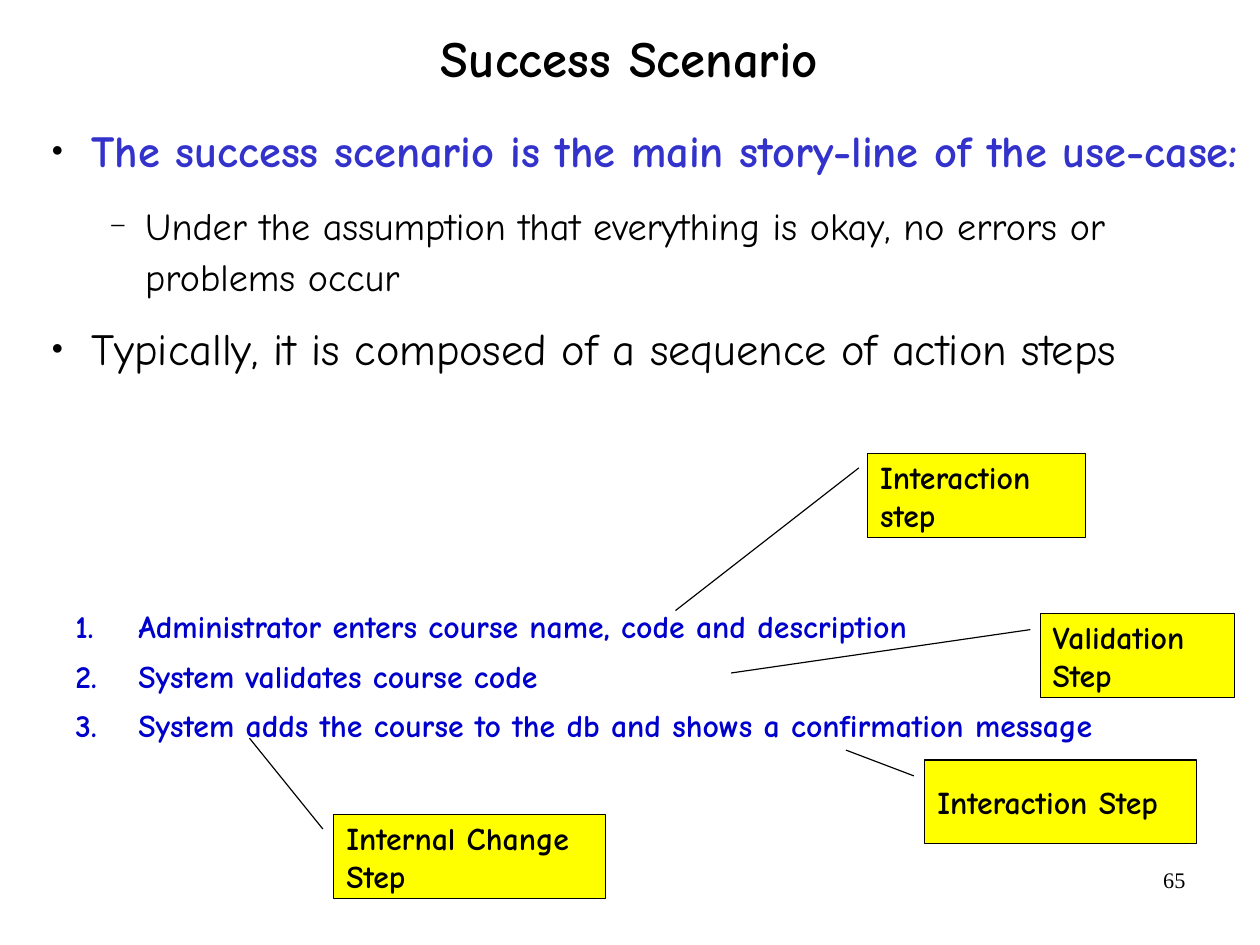
"""Build the slide that explains the success scenario of a use-case."""
from dataclasses import dataclass

from lxml import etree
from pptx import Presentation
from pptx.dml.color import RGBColor
from pptx.enum.shapes import MSO_SHAPE
from pptx.enum.text import MSO_ANCHOR, PP_ALIGN
from pptx.oxml.ns import qn
from pptx.util import Inches, Pt

CALLOUT = MSO_SHAPE.LINE_CALLOUT_1
TOP, MIDDLE = MSO_ANCHOR.TOP, MSO_ANCHOR.MIDDLE
LEFT, CENTER, RIGHT = PP_ALIGN.LEFT, PP_ALIGN.CENTER, PP_ALIGN.RIGHT
COMIC, TIMES = "Comic Neue", "Times New Roman"
BLACK, VIOLET, BLUE, YELLOW = "000000", "3333CC", "0000CC", "FFFF00"
CM_PER_INCH = 2.54
PAGE_WIDTH_CM, PAGE_HEIGHT_CM = 28, 21


@dataclass(frozen=True)
class Style:
    size: float
    color: str = BLACK
    bold: bool = False
    font: str = COMIC
    align: PP_ALIGN = LEFT
    line_spacing: float = 1.0
    space_after: float = 0


@dataclass(frozen=True)
class Bullet:
    margin: float
    hanging: float
    level: int = 0
    char: str = ""
    percent: int = 100


@dataclass(frozen=True)
class Line:
    text: str
    style: Style
    bullet: Bullet | None = None


@dataclass(frozen=True)
class Callout:
    text: str
    bounds: tuple[float, float, float, float]
    pointer: tuple[float, float, float, float]


DOT = Bullet(0.46, 0.35, 0, "●", 45)
DASH = Bullet(0.93, 0.31, 1, "−", 75)
NUMBER = Bullet(1.1, 0.55, 1)

TITLE = Style(32, bold=True, align=CENTER, line_spacing=0.88)
KEY_POINT = Style(28, VIOLET, True, line_spacing=1.1, space_after=13.8)
POINT = Style(28, line_spacing=1.1, space_after=13.8)
DETAIL = Style(24, line_spacing=1.1, space_after=10.9)
STEP = Style(20, BLUE, True, line_spacing=1.3)
LABEL = Style(20, bold=True)
PAGE_NUMBER = Style(14, font=TIMES, align=RIGHT)

POINTS = [
    Line("The success scenario is the main story-line of the use-case:", KEY_POINT, DOT),
    Line("Under the assumption that everything is okay, no errors or problems occur", DETAIL, DASH),
    Line("Typically, it is composed of a sequence of action steps", POINT, DOT),
]
STEPS = [
    Line(text, STEP, NUMBER)
    for text in (
        "Administrator enters course name, code and description",
        "System validates course code",
        "System adds the course to the db and shows a confirmation message",
    )
]
CALLOUTS = [
    Callout("Interaction step", (7.59, 3.97, 1.91, 0.73), (0.17, -0.04, 1.88, -0.88)),
    Callout("Validation Step", (9.1, 5.37, 1.7, 0.73), (0.19, -0.05, 0.71, -1.59)),
    Callout("Internal Change Step", (2.92, 7.13, 2.38, 0.73), (0.17, -0.04, -0.92, -0.31)),
    Callout("Interaction Step", (8.09, 6.65, 2.38, 0.73), (0.19, -0.04, -0.12, -0.29)),
]


def rgb(color: str) -> RGBColor:
    """Turn a hex string into a colour."""
    return RGBColor.from_string(color)


def add_bullet(paragraph, bullet: Bullet) -> None:
    """Give a paragraph a hanging indent with a character or a number."""
    paragraph.level = bullet.level
    properties = paragraph._p.get_or_add_pPr()
    properties.set("marL", str(Inches(bullet.margin)))
    properties.set("indent", str(-Inches(bullet.hanging)))
    if bullet.char:
        color = etree.SubElement(properties, qn("a:buClr"))
        etree.SubElement(color, qn("a:srgbClr"), val=BLACK)
        etree.SubElement(properties, qn("a:buSzPct"), val=str(bullet.percent * 1000))
        etree.SubElement(properties, qn("a:buFont"), typeface=TIMES)
        etree.SubElement(properties, qn("a:buChar"), char=bullet.char)
    else:
        etree.SubElement(properties, qn("a:buAutoNum"), type="arabicPeriod")


def write(box, lines: list[Line], inset: tuple[float, float], anchor: MSO_ANCHOR) -> None:
    """Fill a shape with formatted lines."""
    frame = box.text_frame
    frame.word_wrap = True
    frame.vertical_anchor = anchor
    frame.margin_left = frame.margin_right = Inches(inset[0])
    frame.margin_top = frame.margin_bottom = Inches(inset[1])
    frame.text = "\n".join(line.text for line in lines)
    for paragraph, line in zip(frame.paragraphs, lines):
        style = line.style
        paragraph.alignment = style.align
        paragraph.line_spacing = style.line_spacing
        paragraph.space_after = Pt(style.space_after)
        if line.bullet:
            add_bullet(paragraph, line.bullet)
        for span in paragraph.runs:
            span.font.name = style.font
            span.font.size = Pt(style.size)
            span.font.bold = style.bold
            span.font.color.rgb = rgb(style.color)


def add_text(page, bounds: tuple[float, float, float, float], lines: list[Line],
             inset: tuple[float, float] = (0, 0), anchor: MSO_ANCHOR = TOP) -> None:
    """Add a text box."""
    box = page.shapes.add_textbox(*map(Inches, bounds))
    write(box, lines, inset, anchor)


def add_callout(page, callout: Callout) -> None:
    """Add a yellow label with its pointer line."""
    box = page.shapes.add_shape(CALLOUT, *map(Inches, callout.bounds))
    for index, value in enumerate(callout.pointer):
        box.adjustments[index] = value
    box.shadow.inherit = False
    box.fill.solid()
    box.fill.fore_color.rgb = rgb(YELLOW)
    box.line.color.rgb = rgb(BLACK)
    box.line.width = Pt(0.75)
    write(box, [Line(callout.text, LABEL)], (0.11, 0.06), MIDDLE)


def main() -> None:
    """Create the deck and save it."""
    deck = Presentation()
    deck.slide_width = Inches(PAGE_WIDTH_CM / CM_PER_INCH)
    deck.slide_height = Inches(PAGE_HEIGHT_CM / CM_PER_INCH)
    page = deck.slides.add_slide(deck.slide_layouts[6])
    add_text(page, (7.9, 7.53, 2.57, 0.57), [Line("65", PAGE_NUMBER)], (0.1, 0.05))
    add_text(page, (0.81, -0.15, 9.4, 1.37), [Line("Success Scenario", TITLE)], anchor=MIDDLE)
    add_text(page, (0.34, 1.03, 10.58, 4.48), POINTS)
    add_text(page, (0, 5.15, 11.11, 1.41), STEPS, (0.11, 0.06))
    for callout in CALLOUTS:
        add_callout(page, callout)
    deck.save("out.pptx")


if __name__ == "__main__":
    main()
